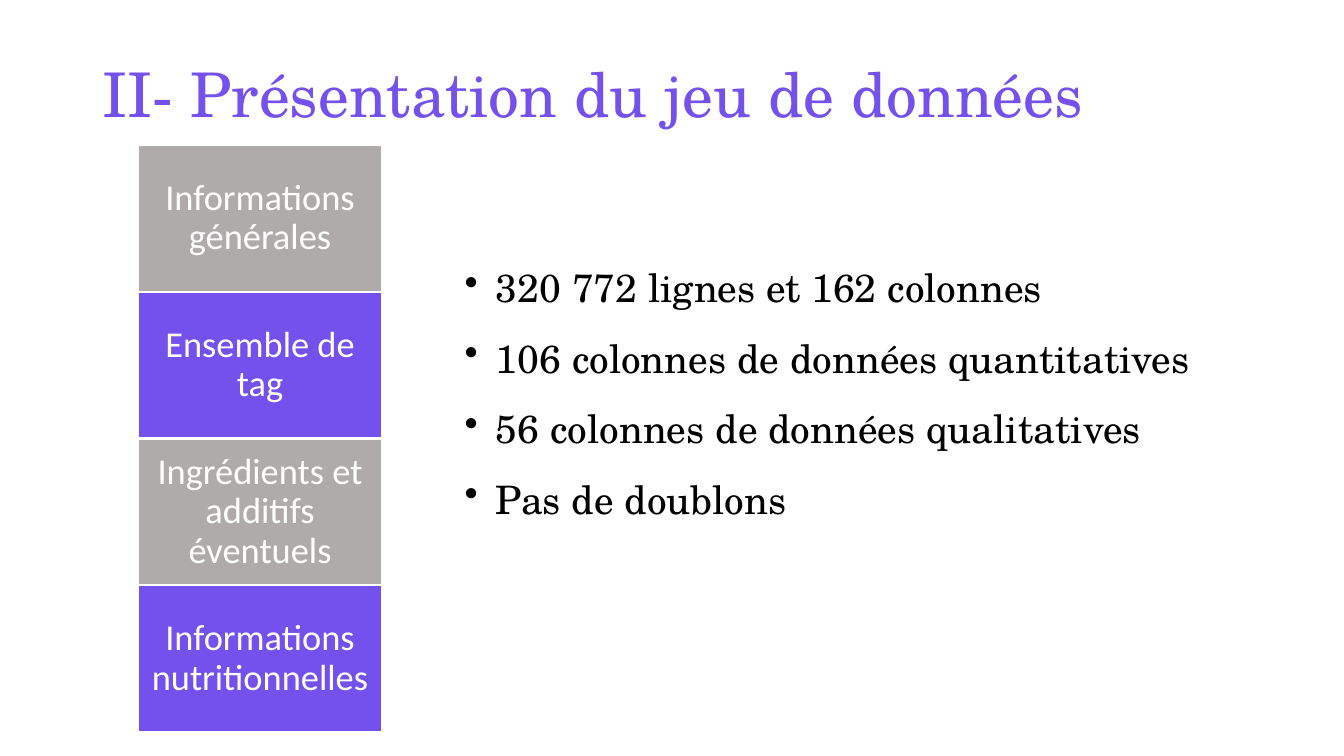
from dataclasses import dataclass

from lxml.etree import SubElement
from pptx import Presentation
from pptx.dml.color import RGBColor
from pptx.enum.shapes import MSO_SHAPE as Preset
from pptx.enum.text import MSO_ANCHOR as Anchor, MSO_AUTO_SIZE as AutoSize, PP_ALIGN as Align
from pptx.oxml.ns import qn
from pptx.slide import Slide
from pptx.util import Inches, Pt

VIOLET = RGBColor(0x74, 0x50, 0xED)
GREY = RGBColor(0xAF, 0xAB, 0xAB)
WHITE = RGBColor(0xFF, 0xFF, 0xFF)
BLACK = RGBColor(0x00, 0x00, 0x00)
SERIF = "TeX Gyre Schola"
SANS = "Calibri"

CATEGORY_LEFT, CATEGORY_TOP = 1.37, 1.44
CATEGORY_WIDTH, CATEGORY_HEIGHT = 2.42, 1.45
CATEGORY_PITCH = 1.457
INSET = Inches(0.11)
BULLET_INDENT = Inches(0.31)


@dataclass(frozen=True)
class Category:
    label: str
    color: RGBColor


CATEGORIES = [
    Category("Informations générales", GREY),
    Category("Ensemble de tag", VIOLET),
    Category("Ingrédients et additifs éventuels", GREY),
    Category("Informations nutritionnelles", VIOLET),
]
FACTS = [
    "320 772 lignes et 162 colonnes",
    "106 colonnes de données quantitatives",
    "56 colonnes de données qualitatives",
    "Pas de doublons",
]


def apply(target, values: dict) -> None:
    """Set each named attribute of the target."""
    for name, value in values.items():
        setattr(target, name, value)


def write(paragraph, text: str, font: str, size: int, color: RGBColor, spacing: float) -> None:
    run = paragraph.add_run()
    run.text = text
    apply(run.font, {"name": font, "size": Pt(size)})
    run.font.color.rgb = color
    paragraph.line_spacing = spacing


def add_title(slide: Slide, text: str) -> None:
    title = slide.shapes.title
    apply(title, {"left": Inches(0.92), "top": Inches(0.24),
                  "width": Inches(11.5), "height": Inches(1.45)})
    title.text_frame.vertical_anchor = Anchor.MIDDLE
    heading = title.text_frame.paragraphs[0]
    heading.alignment = Align.LEFT
    write(heading, text, SERIF, 44, VIOLET, 0.9)


def add_category(slide: Slide, category: Category, top: float) -> None:
    box = slide.shapes.add_shape(
        Preset.RECTANGLE, Inches(CATEGORY_LEFT), Inches(top),
        Inches(CATEGORY_WIDTH), Inches(CATEGORY_HEIGHT))
    box.shadow.inherit = False
    box.fill.solid()
    box.fill.fore_color.rgb = category.color
    box.line.color.rgb = WHITE
    box.line.width = Pt(1)
    apply(box.text_frame, {
        "word_wrap": True, "vertical_anchor": Anchor.MIDDLE,
        "margin_left": INSET, "margin_top": INSET,
        "margin_right": INSET, "margin_bottom": INSET})
    label = box.text_frame.paragraphs[0]
    label.alignment = Align.CENTER
    write(label, category.label, SANS, 26, WHITE, 0.9)


def add_bullet(paragraph) -> None:
    properties = paragraph._p.get_or_add_pPr()
    properties.set("marL", str(BULLET_INDENT))
    properties.set("indent", str(-BULLET_INDENT))
    SubElement(properties, qn("a:buChar")).set("char", "•")


def add_facts(slide: Slide, facts: list[str]) -> None:
    frame = slide.shapes.add_textbox(
        Inches(4.51), Inches(2.33), Inches(7.91), Inches(2.84)).text_frame
    apply(frame, {"word_wrap": True, "auto_size": AutoSize.SHAPE_TO_FIT_TEXT})
    for index, fact in enumerate(facts):
        paragraph = frame.add_paragraph() if index else frame.paragraphs[0]
        write(paragraph, fact, SERIF, 28, BLACK, 1.5)
        add_bullet(paragraph)


def main() -> None:
    deck = Presentation()
    apply(deck, {"slide_width": Inches(13.33), "slide_height": Inches(7.5)})
    slide = deck.slides.add_slide(deck.slide_layouts.get_by_name("Title Only"))
    add_title(slide, "II- Présentation du jeu de données")
    for row, category in enumerate(CATEGORIES):
        add_category(slide, category, CATEGORY_TOP + row * CATEGORY_PITCH)
    add_facts(slide, FACTS)
    deck.save("out.pptx")


if __name__ == "__main__":
    main()
